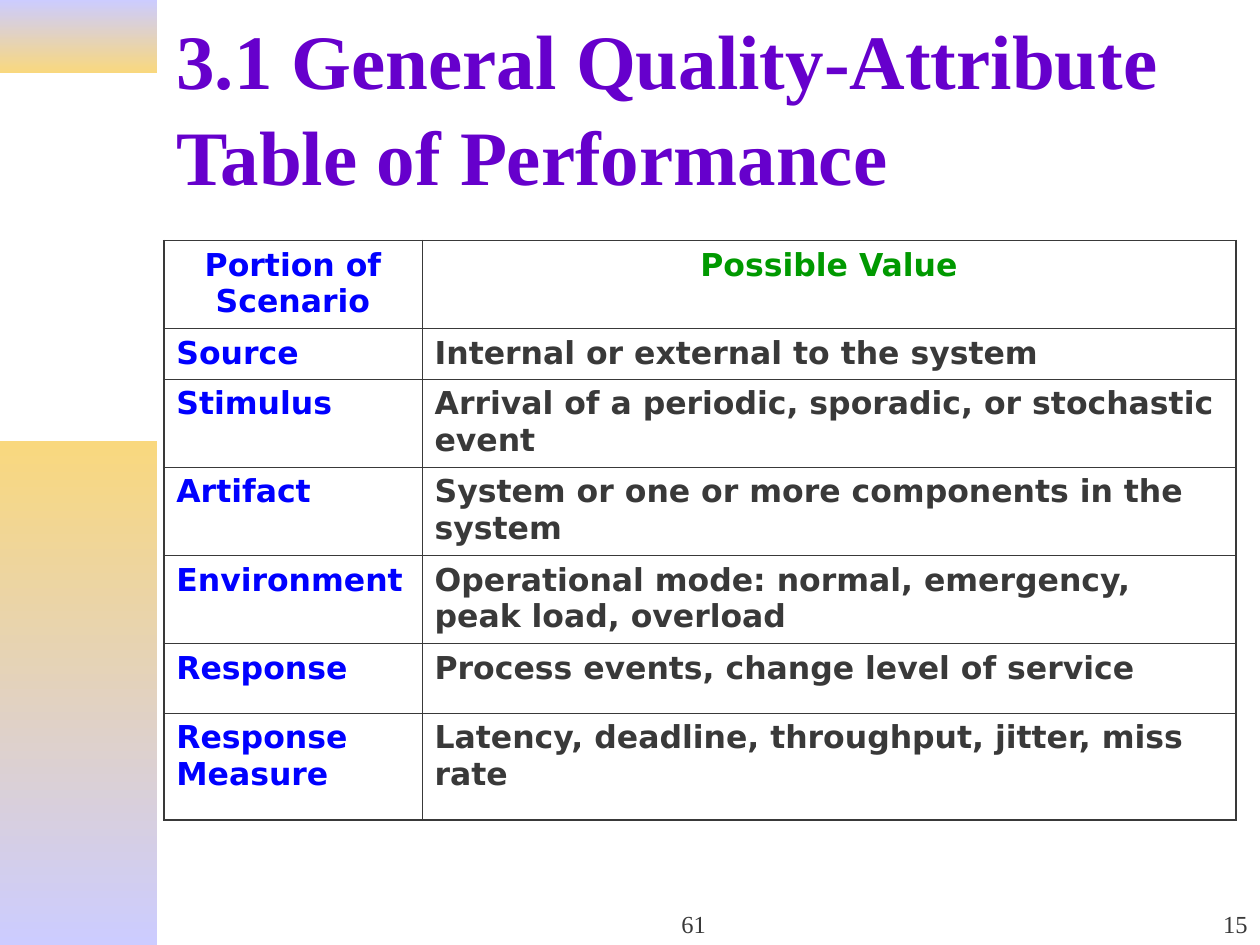
from dataclasses import dataclass

from lxml.etree import SubElement
from pptx import Presentation
from pptx.dml.color import RGBColor
from pptx.enum.shapes import MSO_SHAPE as Shape
from pptx.enum.text import MSO_ANCHOR as Anchor, MSO_AUTO_SIZE as AutoSize, PP_ALIGN as Align
from pptx.oxml.ns import qn
from pptx.util import Inches, Pt

WIDTH, HEIGHT = 10, 7.5
SERIF, SANS = "Times New Roman", "DejaVu Sans"
PURPLE, BLUE, GREEN, GRAY = "6600CC", "0000FF", "009900", "393939"
LAVENDER, GOLD = "CCCCFF", "F9D87E"
THICK, THIN = 1.08, 0.45


@dataclass(frozen=True)
class Band:
    top: float
    height: float
    start: str
    end: str


@dataclass(frozen=True)
class Number:
    text: str
    left: float
    width: float
    align: Align


@dataclass(frozen=True)
class Row:
    portion: str
    value: str
    height: float


BANDS = [Band(0, 0.58, LAVENDER, GOLD), Band(3.5, 4, GOLD, LAVENDER)]
NUMBERS = [Number("61", 3.92, 3.17, Align.CENTER), Number("15", 7.92, 2.08, Align.RIGHT)]
COLUMNS = [2.05, 6.46]
ROWS = [
    Row("Portion of Scenario", "Possible Value", 0.7),
    Row("Source", "Internal or external to the system", 0.4),
    Row("Stimulus", "Arrival of a periodic, sporadic, or stochastic event", 0.7),
    Row("Artifact", "System or one or more components in the system", 0.7),
    Row("Environment", "Operational mode: normal, emergency, peak load, overload", 0.7),
    Row("Response", "Process events, change level of service", 0.55),
    Row("Response Measure", "Latency, deadline, throughput, jitter, miss rate", 0.85),
]


def color(value: str) -> RGBColor:
    return RGBColor.from_string(value)


def box(left: float, top: float, width: float, height: float) -> list:
    return [Inches(length) for length in (left, top, width, height)]


def write(frame, text: str, size: float, font: str, hue: str, bold: bool, align: Align) -> None:
    frame.text = text
    paragraph = frame.paragraphs[0]
    paragraph.alignment = align
    run_font = paragraph.runs[0].font
    run_font.name, run_font.size, run_font.bold = font, Pt(size), bold
    run_font.color.rgb = color(hue)


def draw_band(slide, band: Band) -> None:
    shape = slide.shapes.add_shape(Shape.RECTANGLE, *box(0, band.top, WIDTH / 8, band.height))
    shape.shadow.inherit = False
    shape.line.fill.background()
    shape.fill.gradient()
    shape.fill.gradient_angle = 270
    for stop, hue in zip(shape.fill.gradient_stops, (band.start, band.end)):
        stop.color.rgb = color(hue)


def draw_title(slide, text: str) -> None:
    title = slide.shapes.title
    title.left, title.top, title.width, title.height = box(1.3, 0.11, 8.2, 1.44)
    frame = title.text_frame
    frame.word_wrap = True
    frame.auto_size = AutoSize.NONE
    frame.vertical_anchor = Anchor.MIDDLE
    write(frame, text, 44, SERIF, PURPLE, True, Align.LEFT)
    frame.paragraphs[0].line_spacing = 1.04


def draw_borders(cell, widths: dict[str, float]) -> None:
    # Border lines come before the fill in the cell properties
    properties = cell._tc.get_or_add_tcPr()
    for position, (side, width) in enumerate(widths.items()):
        line = SubElement(properties, qn(f"a:ln{side}"), w=str(int(Pt(width))))
        fill = SubElement(line, qn("a:solidFill"))
        SubElement(fill, qn("a:srgbClr"), val=GRAY)
        properties.insert(position, line)


def draw_table(slide, rows: list[Row]) -> None:
    total = sum(row.height for row in rows)
    frame = slide.shapes.add_table(len(rows), len(COLUMNS), *box(1.3, 1.91, sum(COLUMNS), total))
    table = frame.table
    table.horz_banding = False
    for column, width in zip(table.columns, COLUMNS):
        column.width = Inches(width)
    last_row, last_column = len(rows) - 1, len(COLUMNS) - 1
    for i, row in enumerate(rows):
        table.rows[i].height = Inches(row.height)
        hues = (BLUE, GRAY if i else GREEN)
        for j, (text, hue) in enumerate(zip((row.portion, row.value), hues)):
            cell = table.cell(i, j)
            cell.fill.background()
            align = Align.LEFT if i else Align.CENTER
            write(cell.text_frame, text, 18, SANS, hue, True, align)
            outer = {"L": j == 0, "R": j == last_column, "T": i == 0, "B": i == last_row}
            draw_borders(cell, {side: THICK if edge else THIN for side, edge in outer.items()})


def draw_number(slide, number: Number) -> None:
    area = box(number.left, HEIGHT - 0.5, number.width, 0.5)
    frame = slide.shapes.add_textbox(*area).text_frame
    frame.word_wrap = True
    frame.vertical_anchor = Anchor.BOTTOM
    write(frame, number.text, 14, SERIF, GRAY, False, number.align)


def main() -> None:
    presentation = Presentation()
    presentation.slide_width, presentation.slide_height = Inches(WIDTH), Inches(HEIGHT)
    slide = presentation.slides.add_slide(presentation.slide_layouts[5])
    # Side bands
    for band in BANDS:
        draw_band(slide, band)
    # Title and table
    draw_title(slide, "3.1 General Quality-Attribute Table of Performance")
    draw_table(slide, ROWS)
    # Footer numbers
    for number in NUMBERS:
        draw_number(slide, number)
    presentation.save("out.pptx")


if __name__ == "__main__":
    main()
